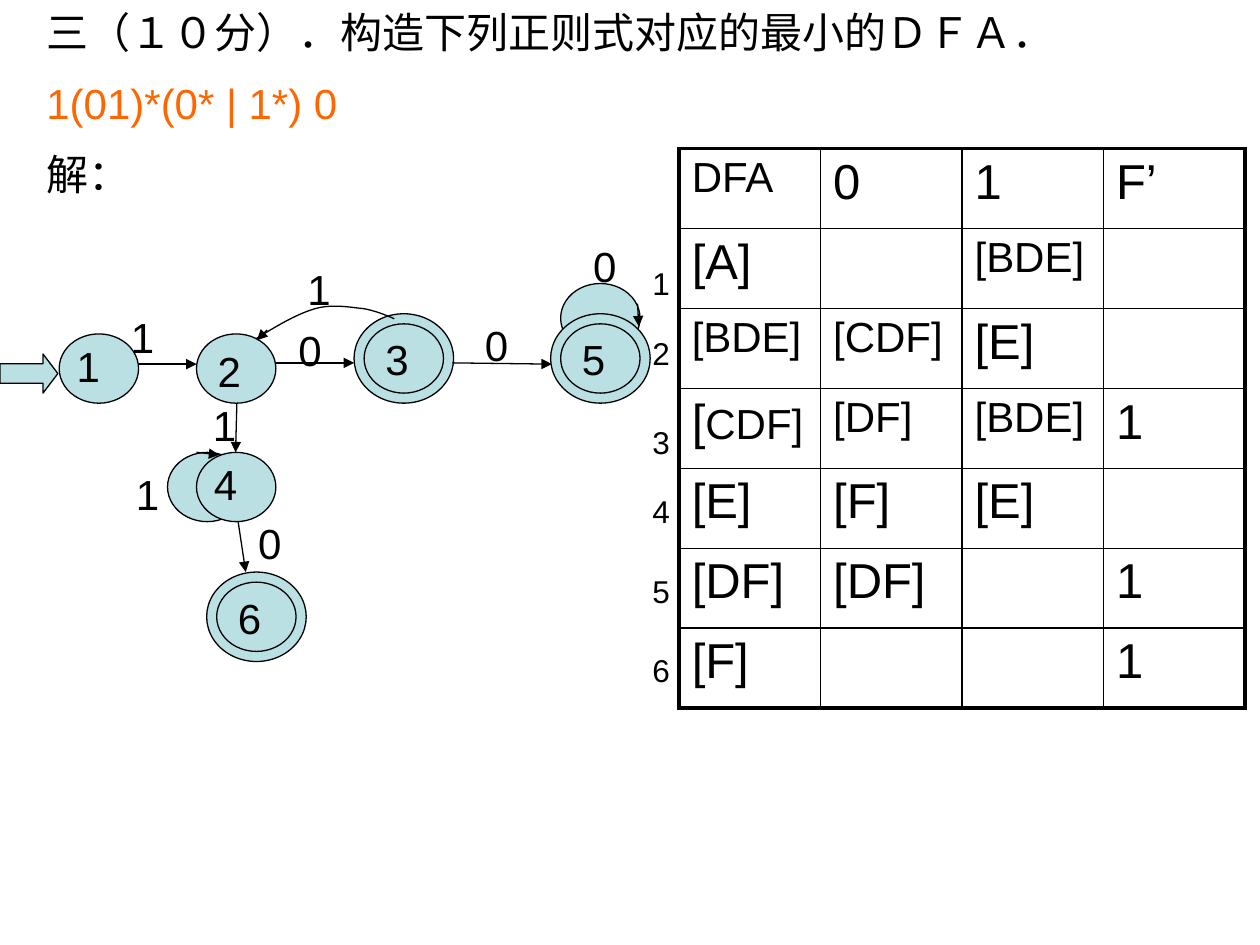
from lxml import etree
from pptx import Presentation
from pptx.dml.color import RGBColor
from pptx.enum.shapes import MSO_CONNECTOR, MSO_SHAPE
from pptx.enum.text import MSO_AUTO_SIZE
from pptx.oxml.ns import qn
from pptx.util import Inches, Pt

STRAIGHT = MSO_CONNECTOR.STRAIGHT
OVAL, RIGHT_ARROW = MSO_SHAPE.OVAL, MSO_SHAPE.RIGHT_ARROW
GROW = MSO_AUTO_SIZE.SHAPE_TO_FIT_TEXT
BLACK = RGBColor(0, 0, 0)
ORANGE = RGBColor(0xFF, 0x66, 0x00)
TEAL = RGBColor(0xBB, 0xE0, 0xE3)
FONT = "Arial"

HEADING = [
    ("三（１０分）．构造下列正则式对应的最小的ＤＦＡ．", BLACK),
    ("1(01)*(0* | 1*) 0", ORANGE),
    ("解：", BLACK),
]

# A cell is a list of (text, size) runs
TABLE_BOX = (5.39, 1.18, 4.49, 4.44)
ROWS = [
    [[("DFA", 24)], [("0", 28)], [("1", 28)], [("F’", 28)]],
    [[("[A]", 28)], [], [("[BDE]", 24)], []],
    [[("[BDE]", 24)], [("[CDF]", 24)], [("[E]", 28)], []],
    [[("[", 28), ("CDF]", 24)], [("[DF]", 24)], [("[BDE]", 24)], [("1", 28)]],
    [[("[E]", 28)], [("[F]", 28)], [("[E]", 28)], []],
    [[("[DF]", 28)], [("[DF]", 28)], [], [("1", 28)]],
    [[("[F]", 28)], [], [], [("1", 28)]],
]
ROW_LABEL_TOPS = [2.05, 2.6, 3.31, 3.86, 4.49, 5.12]

# Ellipse size, and the wider ring drawn round a final state
STATE_W, STATE_H = 0.63, 0.55
RING = 0.08
LOOPS = [(1.33, 3.59), (4.45, 2.25)]
# name, left, top, final, label left, label top
STATES = [
    ("1", 0.47, 2.65, False, 0.51, 2.65),
    ("2", 1.56, 2.65, False, 1.63, 2.69),
    ("3", 2.89, 2.57, True, 2.96, 2.6),
    ("4", 1.56, 3.59, False, 1.6, 3.59),
    ("5", 4.45, 2.57, True, 4.52, 2.6),
    ("6", 1.72, 4.62, True, 1.79, 4.65),
]
ARROWS = [
    (1.1, 2.89, 1.56, 2.89),
    (2.19, 2.88, 2.81, 2.88),
    (3.59, 2.88, 4.38, 2.89),
    (1.88, 3.2, 1.87, 3.59),
    (1.89, 4.14, 1.95, 4.54),
    (1.56, 3.59, 1.74, 3.61),
    (5.06, 2.41, 5.07, 2.59),
    (2.12, 2.62, 2.04, 2.7),
]
EDGE_LABELS = [
    ("1", 0.94, 2.42), ("1", 2.34, 2.04), ("0", 4.61, 1.86), ("1", 1.59, 3.12),
    ("0", 3.75, 2.49), ("0", 1.95, 4.06), ("0", 2.27, 2.53), ("1", 0.98, 3.67),
]
BACK_CURVE = [
    ((3.13, 2.53), (3.06, 2.5), (2.99, 2.47), (2.89, 2.45)),
    ((2.89, 2.45), (2.78, 2.44), (2.64, 2.41), (2.5, 2.45)),
    ((2.5, 2.45), (2.36, 2.49), (2.19, 2.59), (2.03, 2.69)),
]


def style_run(r, size, color=BLACK):
    """Set the font of a run."""
    r.font.name = FONT
    r.font.size = Pt(size)
    r.font.color.rgb = color


def add_text(slide, lines, x, y, w, h, size=24):
    """Add a text box with one paragraph for each (text, colour)."""
    sp = slide.shapes.add_textbox(Inches(x), Inches(y), Inches(w), Inches(h))
    tf = sp.text_frame
    tf.word_wrap = True
    tf.auto_size = GROW
    for i, (text, color) in enumerate(lines):
        p = tf.add_paragraph() if i else tf.paragraphs[0]
        p.space_before = Pt(size / 2 if i else 0)
        p.text = text
        style_run(p.runs[0], size, color)


def add_filled(slide, kind, x, y, w, h):
    """Add a teal shape with a thin black outline."""
    sp = slide.shapes.add_shape(kind, Inches(x), Inches(y), Inches(w), Inches(h))
    sp.shadow.inherit = False
    sp.fill.solid()
    sp.fill.fore_color.rgb = TEAL
    sp.line.color.rgb = BLACK
    sp.line.width = Pt(0.75)
    return sp


def add_state(slide, x, y, final):
    """Add a state ellipse, inside a ring if it is final."""
    if final:
        add_filled(slide, OVAL, x - RING, y - RING,
                   STATE_W + 2 * RING, STATE_H + 2 * RING)
    add_filled(slide, OVAL, x, y, STATE_W, STATE_H)


def add_arrow(slide, x1, y1, x2, y2):
    """Add a straight line with an arrowhead at its end."""
    c = slide.shapes.add_connector(
        STRAIGHT, Inches(x1), Inches(y1), Inches(x2), Inches(y2))
    c.line.color.rgb = BLACK
    c.line.width = Pt(0.75)
    etree.SubElement(c.line._get_or_add_ln(), qn("a:tailEnd"), type="triangle")
    etree.SubElement(c._element.spPr, qn("a:effectLst"))


def add_curve(slide, segments, steps=10):
    """Add an open outline that follows cubic Bezier segments."""
    points = [segments[0][0]]
    for a, b, c, d in segments:
        for i in range(1, steps + 1):
            t = i / steps
            u = 1 - t
            points.append(tuple(
                u**3 * a[k] + 3 * u * u * t * b[k] + 3 * u * t * t * c[k] + t**3 * d[k]
                for k in (0, 1)))
    points = [(Inches(x), Inches(y)) for x, y in points]
    builder = slide.shapes.build_freeform(*points[0])
    builder.add_line_segments(points[1:], close=False)
    sp = builder.convert_to_shape()
    sp.shadow.inherit = False
    sp.fill.background()
    sp.line.color.rgb = BLACK
    sp.line.width = Pt(0.75)


def set_borders(cell, widths):
    """Give a cell black borders; widths maps side to points."""
    tcPr = cell._tc.get_or_add_tcPr()
    for i, (side, width) in enumerate(widths.items()):
        ln = etree.Element(qn("a:ln" + side), w=str(Pt(width)))
        fill = etree.SubElement(ln, qn("a:solidFill"))
        etree.SubElement(fill, qn("a:srgbClr"), val=str(BLACK))
        tcPr.insert(i, ln)


def add_state_table(slide):
    """Add the transition table with a thick outer border."""
    n_rows, n_cols = len(ROWS), len(ROWS[0])
    frame = slide.shapes.add_table(n_rows, n_cols, *map(Inches, TABLE_BOX))
    table = frame.table
    table.first_row = table.horz_banding = False
    for i, row in enumerate(ROWS):
        for j, runs in enumerate(row):
            cell = table.cell(i, j)
            cell.fill.background()
            outer = {"L": j == 0, "R": j == n_cols - 1,
                     "T": i == 0, "B": i == n_rows - 1}
            set_borders(cell, {s: 2.25 if o else 1 for s, o in outer.items()})
            for text, size in runs:
                r = cell.text_frame.paragraphs[0].add_run()
                r.text = text
                style_run(r, size)


prs = Presentation()
prs.slide_width, prs.slide_height = Inches(10), Inches(7.5)
slide = prs.slides.add_slide(prs.slide_layouts[6])

add_text(slide, HEADING, 0.27, 0, 9.45, 1.7)
add_state_table(slide)

for x, y in LOOPS:
    add_filled(slide, OVAL, x, y, STATE_W, STATE_H)
start = add_filled(slide, RIGHT_ARROW, 0, 2.81, 0.46, 0.31)
start.adjustments[1] = 0.38
for name, x, y, final, label_x, label_y in STATES:
    add_state(slide, x, y, final)
    add_text(slide, [(name, BLACK)], label_x, label_y, STATE_W, 0.5)
add_curve(slide, BACK_CURVE)
for arrow in ARROWS:
    add_arrow(slide, *arrow)
for text, x, y in EDGE_LABELS:
    add_text(slide, [(text, BLACK)], x, y, 0.39, 0.5)
for i, y in enumerate(ROW_LABEL_TOPS, 1):
    add_text(slide, [(str(i), BLACK)], 5.08, y, 0.39, 0.4, 18)

prs.save("out.pptx")
